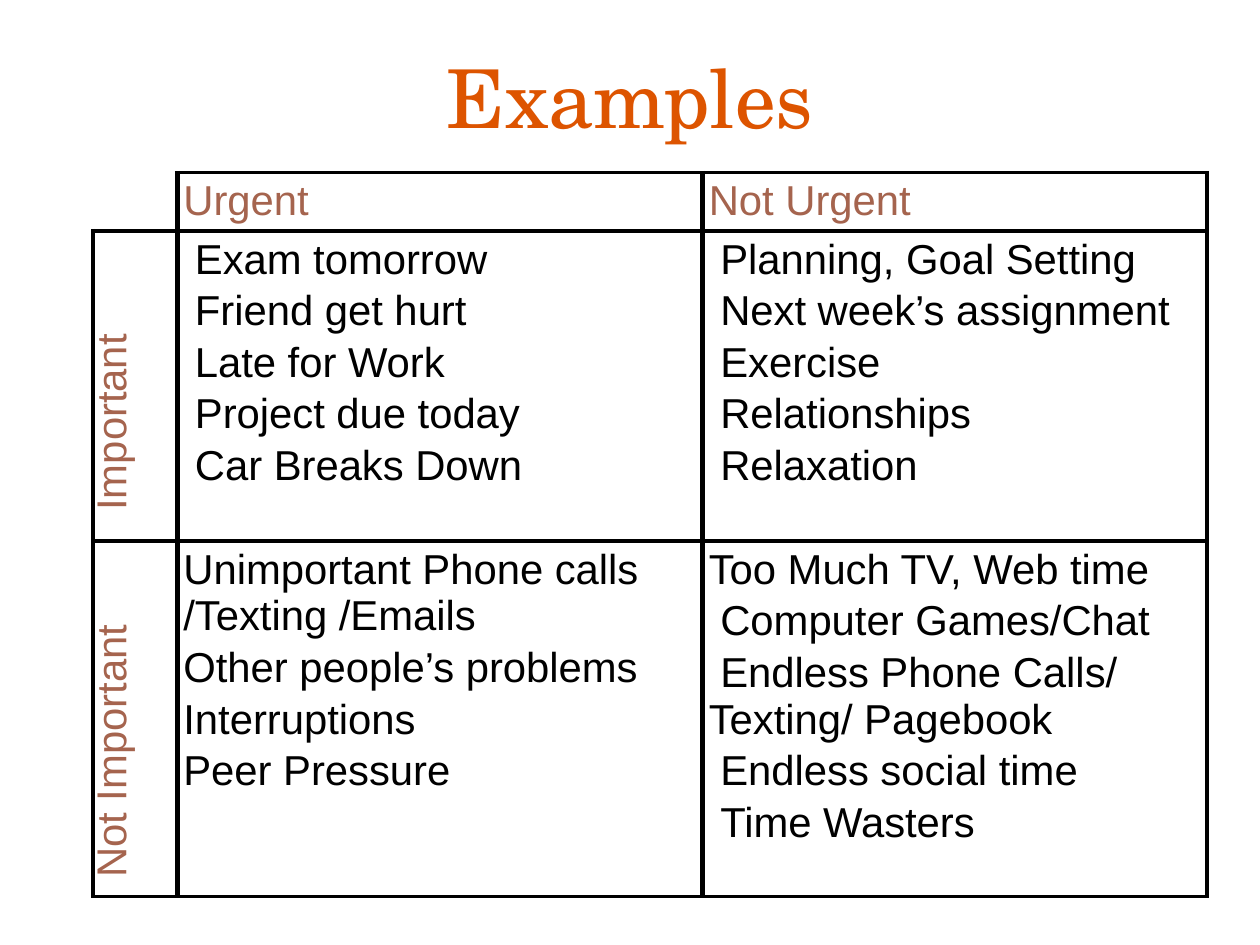
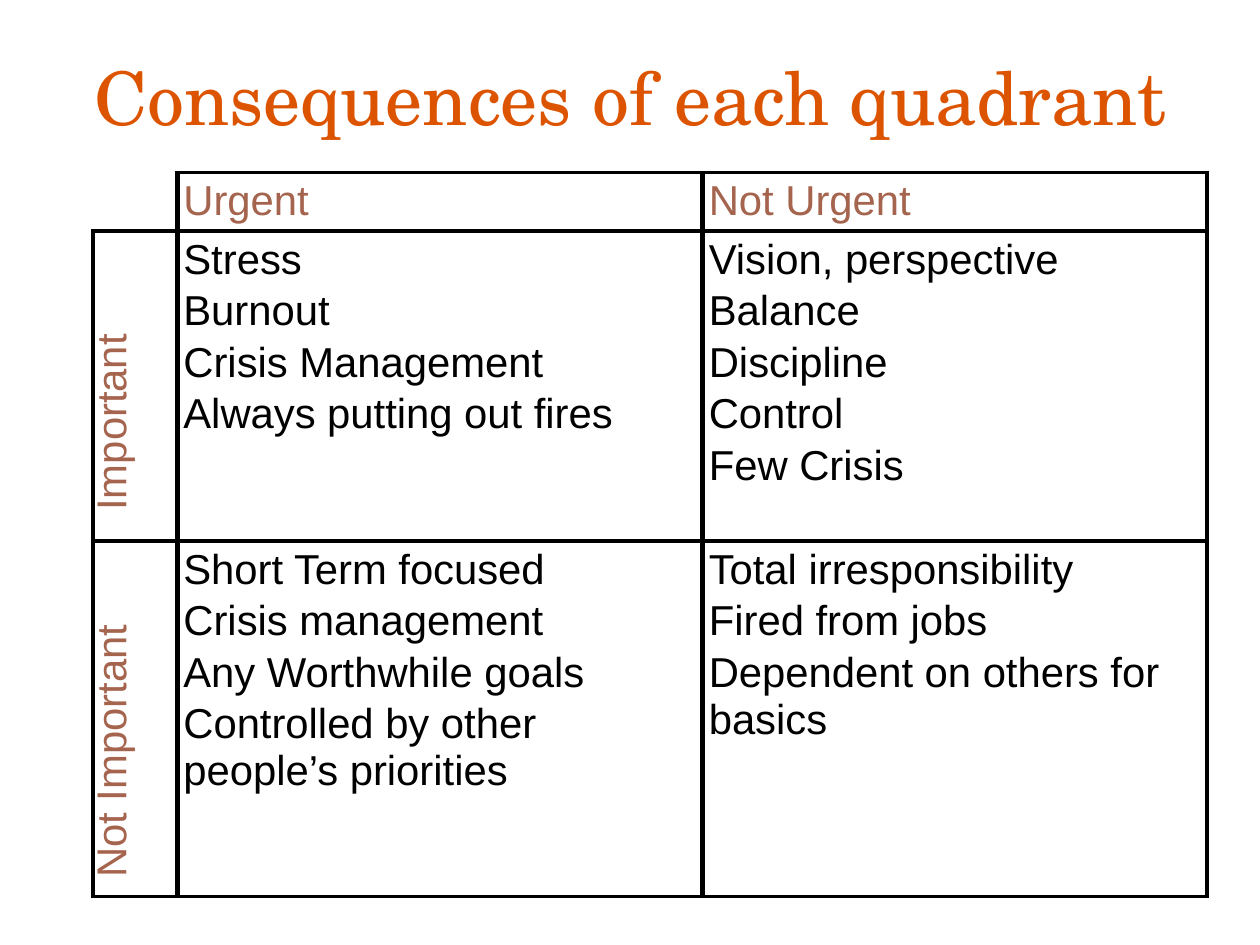
from dataclasses import dataclass

from lxml import etree
from pptx import Presentation
from pptx.dml.color import RGBColor
from pptx.enum.text import MSO_ANCHOR, MSO_AUTO_SIZE, PP_ALIGN
from pptx.oxml.ns import qn
from pptx.util import Inches, Pt

CENTER, MIDDLE, NO_FIT = PP_ALIGN.CENTER, MSO_ANCHOR.MIDDLE, MSO_AUTO_SIZE.NONE
TITLE_ONLY = 5


@dataclass(frozen=True)
class Theme:
    title_font: str = "TeX Gyre Schola"
    body_font: str = "Arial"
    title: str = "DD5400"
    heading: str = "A5644E"
    text: str = "000000"
    border: str = "000000"
    body_size: float = 34
    space_before: float = 4
    outer_line: float = 3.2
    inner_line: float = 4.27


THEME = Theme()

# Content: each quadrant holds its flush lines, then its indented lines
COLUMN_HEADINGS = ["Urgent", "Not Urgent"]
ROW_HEADINGS = ["Important", "Not Important"]
SLIDES = [
    {"title": "Examples", "title_size": 66, "quadrants": [
        [([], ["Exam tomorrow", "Friend get hurt", "Late for Work",
               "Project due today", "Car Breaks Down"]),
         ([], ["Planning, Goal Setting", "Next week’s assignment",
               "Exercise", "Relationships", "Relaxation"])],
        [(["Unimportant Phone calls /Texting /Emails",
           "Other people’s problems", "Interruptions", "Peer Pressure"], []),
         (["Too Much TV, Web time"],
          ["Computer Games/Chat", "Endless Phone Calls/ Texting/ Pagebook",
           "Endless social time", "Time Wasters"])],
    ]},
    {"title": "Consequences of each quadrant", "title_size": 60, "quadrants": [
        [(["Stress", "Burnout", "Crisis Management",
           "Always putting out fires"], []),
         (["Vision, perspective", "Balance", "Discipline", "Control",
           "Few Crisis"], [])],
        [(["Short Term focused", "Crisis management", "Any Worthwhile goals",
           "Controlled by other people’s priorities"], []),
         (["Total irresponsibility", "Fired from jobs",
           "Dependent on others for basics"], [])],
    ]},
]

# Layout, in inches
SLIDE_W, SLIDE_H = 14.22, 10.67
TITLE_BOX = (0.9, 0.43, 12.42, 1.3)
TABLE_LEFT, TABLE_TOP = 1.05, 1.95
COLS = [0.95, 5.93, 5.69]
ROWS = [0.66, 3.5, 4.01]
CELL_INSET_X, CELL_INSET_Y = 0.07, 0.06
FIRST_LINE_INDENT = 0.13
LABEL_CENTER_X, LABEL_H = 1.24, 0.57
LABELS = [(4.52, 2.49), (8.4, 3.02)]  # centre height, length


def style(p, size, font, color):
    p.font.size, p.font.name = Pt(size), font
    p.font.color.rgb = RGBColor.from_string(color)


def set_insets(tf, x, y):
    tf.margin_left = tf.margin_right = Inches(x)
    tf.margin_top = tf.margin_bottom = Inches(y)


def add_title(slide, text, size):
    sp = slide.shapes.title
    sp.left, sp.top, sp.width, sp.height = map(Inches, TITLE_BOX)
    tf = sp.text_frame
    tf.text, tf.word_wrap, tf.auto_size = text, True, NO_FIT
    tf.vertical_anchor = MIDDLE
    set_insets(tf, 0.06, 0.06)
    p = tf.paragraphs[0]
    p.alignment = CENTER
    style(p, size, THEME.title_font, THEME.title)


def set_borders(cell, row, col):
    """Thin outer edges, thick inner ones; the corner cell has no outer edge."""
    outer = {"L": col == 0, "R": col == len(COLS) - 1,
             "T": row == 0, "B": row == len(ROWS) - 1}
    tc_pr = cell._tc.get_or_add_tcPr()
    for side, is_outer in outer.items():
        width = THEME.outer_line if is_outer else THEME.inner_line
        ln = etree.SubElement(tc_pr, qn(f"a:ln{side}"), w=str(Pt(width)))
        if is_outer and row == col == 0:
            etree.SubElement(ln, qn("a:noFill"))
        else:
            fill = etree.SubElement(ln, qn("a:solidFill"))
            etree.SubElement(fill, qn("a:srgbClr"), val=THEME.border)


def fill_cell(cell, flush, indented, color):
    set_insets(cell, CELL_INSET_X, CELL_INSET_Y)
    tf = cell.text_frame
    for i, text in enumerate(flush + indented):
        p = tf.add_paragraph() if i else tf.paragraphs[0]
        p.text = text
        if i:
            p.space_before = Pt(THEME.space_before)
        if i >= len(flush):
            p._p.get_or_add_pPr().set("indent", str(Inches(FIRST_LINE_INDENT)))
        style(p, THEME.body_size, THEME.body_font, color)


def add_matrix(slide, quadrants):
    table = slide.shapes.add_table(
        len(ROWS), len(COLS), Inches(TABLE_LEFT), Inches(TABLE_TOP),
        Inches(sum(COLS)), Inches(sum(ROWS))).table
    table.first_row = table.horz_banding = False
    for column, width in zip(table.columns, COLS):
        column.width = Inches(width)
    for row, height in zip(table.rows, ROWS):
        row.height = Inches(height)
    for r in range(len(ROWS)):
        for c in range(len(COLS)):
            cell = table.cell(r, c)
            set_borders(cell, r, c)
            cell.fill.background()
            if c and r:
                fill_cell(cell, *quadrants[r - 1][c - 1], THEME.text)
            elif c:
                fill_cell(cell, [COLUMN_HEADINGS[c - 1]], [], THEME.heading)


def add_row_labels(slide):
    for text, (center_y, length) in zip(ROW_HEADINGS, LABELS):
        sp = slide.shapes.add_textbox(
            Inches(LABEL_CENTER_X - length / 2), Inches(center_y - LABEL_H / 2),
            Inches(length), Inches(LABEL_H))
        sp.rotation = 270
        tf = sp.text_frame
        tf.text, tf.word_wrap = text, True
        set_insets(tf, 0, 0)
        style(tf.paragraphs[0], THEME.body_size, THEME.body_font, THEME.heading)


def main():
    prs = Presentation()
    prs.slide_width, prs.slide_height = Inches(SLIDE_W), Inches(SLIDE_H)
    for content in SLIDES:
        slide = prs.slides.add_slide(prs.slide_layouts[TITLE_ONLY])
        add_title(slide, content["title"], content["title_size"])
        add_matrix(slide, content["quadrants"])
        add_row_labels(slide)
    prs.save("out.pptx")


if __name__ == "__main__":
    main()
